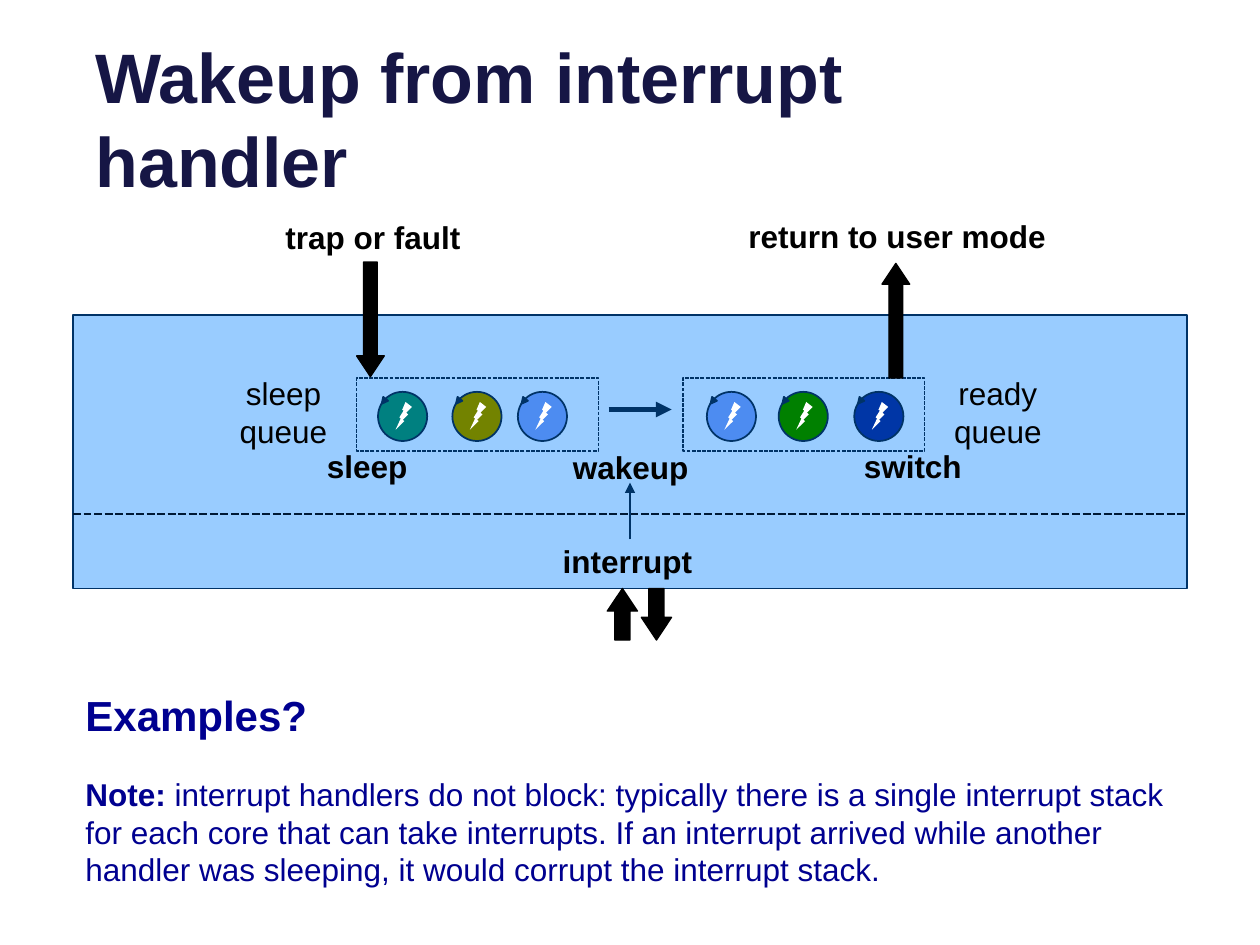
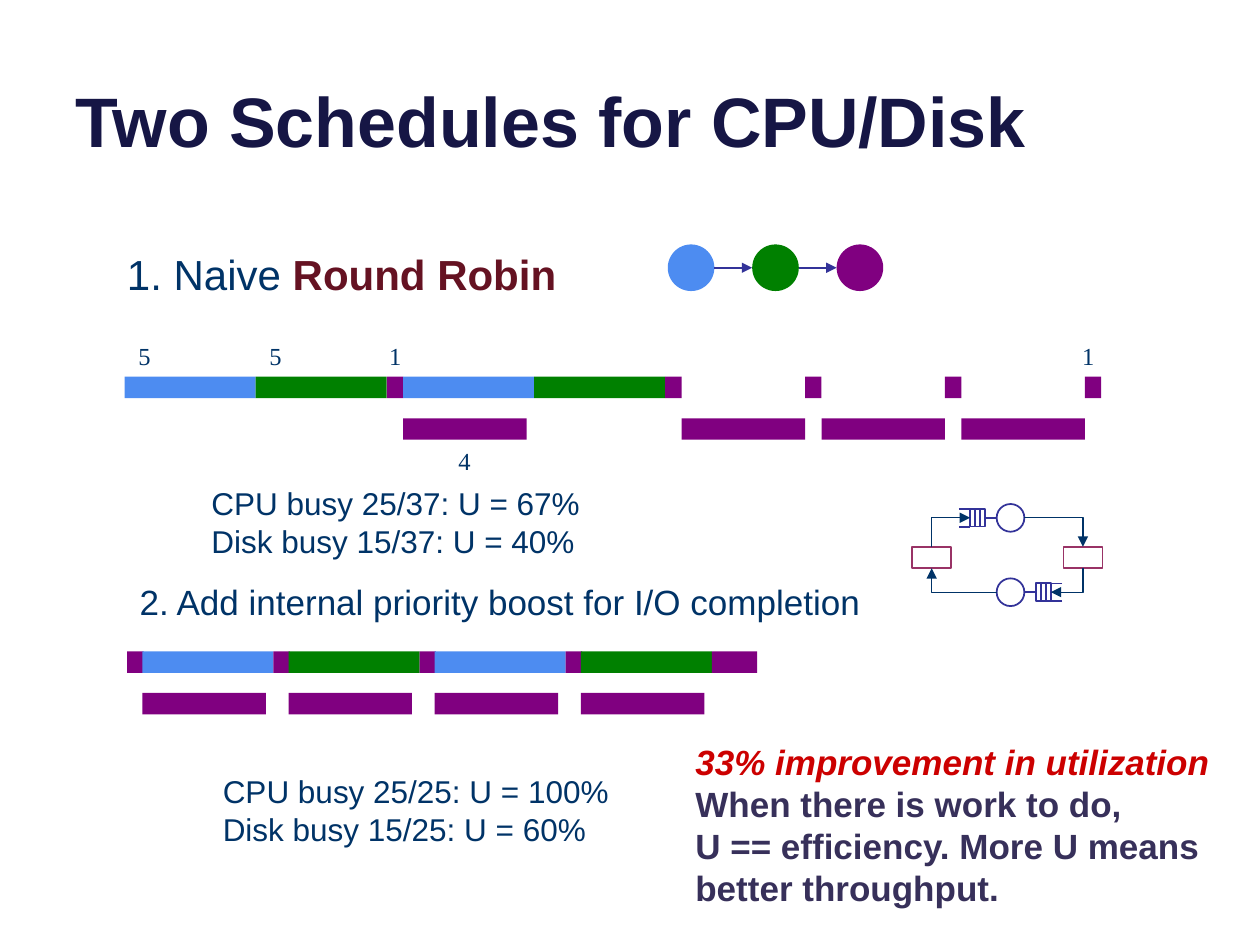
from lxml import etree
from pptx import Presentation
from pptx.dml.color import RGBColor
from pptx.enum.dml import MSO_LINE
from pptx.enum.shapes import MSO_CONNECTOR, MSO_SHAPE
from pptx.enum.text import MSO_ANCHOR, PP_ALIGN
from pptx.oxml.ns import qn
from pptx.util import Inches, Pt

RECT, OVAL, TRIANGLE = MSO_SHAPE.RECTANGLE, MSO_SHAPE.OVAL, MSO_SHAPE.ISOSCELES_TRIANGLE
PROCESS, BOLT = MSO_SHAPE.FLOWCHART_PROCESS, MSO_SHAPE.LIGHTNING_BOLT
UP, DOWN = MSO_SHAPE.UP_ARROW, MSO_SHAPE.DOWN_ARROW
STRAIGHT, ELBOW = MSO_CONNECTOR.STRAIGHT, MSO_CONNECTOR.ELBOW
LEFT, CENTER = PP_ALIGN.LEFT, PP_ALIGN.CENTER
TOP, BOTTOM = MSO_ANCHOR.TOP, MSO_ANCHOR.BOTTOM
DASH = MSO_LINE.SQUARE_DOT
SITE_TOP, SITE_BOTTOM = 0, 2

COLORS = {
    "title": "161645", "navy": "003367", "divider": "001934", "note": "000090",
    "kernel": "99CCFF", "blue": "4D8CF1", "green": "008000", "purple": "800080",
    "olive": "738300", "teal": "008080", "deep": "0036A6", "black": "000000",
    "white": "FFFFFF", "indigo": "333399", "plum": "993366",
    "red": "CC0000", "maroon": "651222", "slate": "37305A",
}
BURST, DISK, SHORT, BAR, DISK_DROP = 1.04, 0.98, 0.13, 0.17, 0.33


def rgb(name):
    return RGBColor.from_string(COLORS[name])


def add_shape(page, kind, box, fill=None, line=None, width=1):
    shape = page.shapes.add_shape(kind, *map(Inches, box))
    shape.shadow.inherit = False
    if fill:
        shape.fill.solid()
        shape.fill.fore_color.rgb = rgb(fill)
    else:
        shape.fill.background()
    if line:
        shape.line.color.rgb = rgb(line)
        shape.line.width = Pt(width)
    else:
        shape.line.fill.background()
    return shape


def add_line(page, start, end, color, width=1, arrow=None, kind=STRAIGHT):
    line = page.shapes.add_connector(kind, *map(Inches, (*start, *end)))
    line.line.color.rgb = rgb(color)
    line.line.width = Pt(width)
    if arrow:
        stroke = line.line._get_or_add_ln()
        etree.SubElement(stroke, qn(f"a:{arrow}"), type="triangle")
    etree.SubElement(line.element.spPr, qn("a:effectLst"))
    return line


def add_text(page, box, paragraphs, size, color, bold=False, align=LEFT,
             anchor=TOP, font="Arial", wrap=True):
    frame = page.shapes.add_textbox(*map(Inches, box)).text_frame
    frame.word_wrap = wrap
    frame.vertical_anchor = anchor
    for index, spans in enumerate(paragraphs):
        para = frame.add_paragraph() if index else frame.paragraphs[0]
        para.alignment = align
        for words, style in spans:
            span = para.add_run()
            span.text = words
            span.font.name = font
            span.font.size = Pt(size)
            span.font.bold = style.get("bold", bold)
            span.font.italic = style.get("italic", False)
            span.font.color.rgb = rgb(style.get("color", color))


def add_title(page, box, words):
    add_text(page, box, [[(words, {})]], 40, "title", bold=True, anchor=BOTTOM)


def add_label(page, box, words, bold=True):
    add_text(page, box, [[(words, {})]], 18, "black", bold, CENTER)


def add_thread(page, left, top, color):
    add_shape(page, OVAL, (left, top, 0.39, 0.39), color, "navy")
    bolt = add_shape(page, BOLT, (left + 0.14, top + 0.08, 0.13, 0.22), "white")
    bolt.element.spPr.find(qn("a:xfrm")).set("flipH", "1")
    tip = add_shape(page, TRIANGLE, (left + 0.02, top + 0.05, 0.05, 0.05), "navy", "navy")
    tip.rotation = 219


def add_queue(page, box, threads):
    left, top = box[:2]
    for offset, color in threads:
        add_thread(page, left + offset, top + 0.11, color)
    frame = add_shape(page, RECT, box, None, "navy", 0.75)
    frame.line.dash_style = DASH


def add_block_arrow(page, kind, box):
    arrow = add_shape(page, kind, box, "black", "black", 0.75)
    arrow.adjustments[0] = 0.5
    arrow.adjustments[1] = 0.75


def draw_kernel(page, box):
    left, top, width, height = box
    add_shape(page, PROCESS, box, "kernel", "navy")
    queue_top = top + 0.5
    add_queue(page, (left + 2.25, queue_top, 1.92, 0.58),
              [(0.17, "teal"), (0.76, "olive"), (1.28, "blue")])
    add_queue(page, (left + 4.84, queue_top, 1.92, 0.58),
              [(0.19, "blue"), (0.76, "green"), (1.36, "deep")])
    add_line(page, (left + 4.25, top + 0.75), (left + 4.75, top + 0.75), "navy", 3, "tailEnd")
    divider = add_line(page, (left, top + 1.58), (left + width, top + 1.58), "divider", 1.5)
    divider.line.dash_style = DASH
    add_line(page, (left + 4.42, top + 1.78), (left + 4.42, top + 1.33), "navy", 1, "tailEnd")

    for offset, words in ((1.17, "sleep queue"), (6.84, "ready queue")):
        add_label(page, (left + offset, top + 0.42, 1, 0.71), words, bold=False)
    for offset, drop, label_width, words in (
            (1.25, 1, 2.17, "sleep"), (3.34, 1.01, 2.17, "wakeup"), (6, 1, 1.33, "switch"),
            (3.47, 1.75, 1.86, "interrupt"),
            (1.09, -0.82, 2.58, "trap or fault"), (5.25, -0.83, 2.58, "return to user mode")):
        add_label(page, (left + offset, top + drop, label_width, 0.4), words)

    for kind, offset, drop, arrow_width, arrow_height in (
            (DOWN, 2.25, -0.42, 0.22, 0.91), (UP, 6.42, -0.41, 0.22, 0.91),
            (UP, 4.24, height, 0.24, 0.41), (DOWN, 4.51, height, 0.24, 0.41)):
        add_block_arrow(page, kind, (left + offset, top + drop, arrow_width, arrow_height))


def draw_notes(page, box):
    left, top, width = box
    add_text(page, (left, top, width, 0.51), [[("Examples?", {})]], 24, "note", bold=True)
    note = ("interrupt handlers do not block: typically there is a single interrupt stack "
            "for each core that can take interrupts. If an interrupt arrived while another "
            "handler was sleeping, it would corrupt the interrupt stack.")
    add_text(page, (left, top + 0.68, width, 1.01),
             [[("Note: ", {"bold": True}), (note, {})]], 18, "note")


def build_wakeup(deck):
    page = deck.slides.add_slide(deck.slide_layouts[6])
    add_title(page, (0.66, -0.02, 7.17, 1.67), "Wakeup from interrupt handler")
    draw_kernel(page, (0.58, 2.5, 8.84, 2.17))
    draw_notes(page, (0.58, 5.42, 8.83))


def draw_naive_schedule(page, left, top):
    job_a, job_b = (BURST, "blue", False), (BURST, "green", False)
    job_a_with_disk = (BURST, "blue", True)
    io_start, disk_only = (SHORT, "purple", False), (DISK, None, True)
    steps = [job_a, job_b, io_start, job_a_with_disk, job_b] + [io_start, disk_only] * 3 + [io_start]
    cursor = left
    for width, cpu_color, disk_busy in steps:
        if cpu_color:
            add_shape(page, RECT, (cursor, top, width, BAR), cpu_color)
        if disk_busy:
            add_shape(page, RECT, (cursor, top + DISK_DROP, DISK, BAR), "purple")
        cursor += width
    for offset, drop, words in ((0.01, -0.33, "5"), (1.05, -0.33, "5"), (2, -0.33, "1"),
                                (7.5, -0.33, "1"), (2.55, 0.5, "4")):
        add_text(page, (left + offset, top + drop, 0.3, 0.33), [[(words, {})]],
                 14, "navy", font="Times New Roman", wrap=False)


def draw_boosted_schedule(page, left, top):
    for turn, color in enumerate(("blue", "green") * 2):
        start = left + 1.16 * turn
        add_shape(page, RECT, (start, top, SHORT, BAR), "purple")
        add_shape(page, RECT, (start + 0.12, top, BURST, BAR), color)
        add_shape(page, RECT, (start + 0.12, top + DISK_DROP, DISK, BAR), "purple")
    add_shape(page, RECT, (left + 4.64, top, 0.36, BAR), "purple")


def draw_job_ring(page, left, top):
    size, step = 0.37, 0.67
    for index, color in enumerate(("blue", "green", "purple")):
        start = left + step * index
        add_shape(page, OVAL, (start, top, size, size), color)
        if index < 2:
            middle = top + size / 2
            add_line(page, (start + size, middle), (start + step, middle), "indigo", 1, "tailEnd")


def draw_server(page, center, middle, side):
    def across(distance):
        return center + side * distance

    for slot in range(3):
        near, far = across(0.2 + 0.04 * slot), across(0.24 + 0.04 * slot)
        add_shape(page, RECT, (min(near, far), middle - 0.07, 0.04, 0.14), "white", "indigo")
    for edge in (middle - 0.07, middle + 0.07):
        add_line(page, (across(0.41), edge), (across(0.32), edge), "indigo")
    add_line(page, (across(0.2), middle), (across(0.11), middle), "indigo")
    add_shape(page, OVAL, (center - 0.11, middle - 0.11, 0.22, 0.22), "white", "indigo")


def draw_service_loop(page, left, top):
    center, upper, lower = left + 0.78, top + 0.11, top + 0.7
    draw_server(page, center, upper, -1)
    draw_server(page, center, lower, 1)
    left_box, right_box = (
        add_shape(page, RECT, (left + offset, top + 0.34, 0.31, 0.17), "white", "plum")
        for offset in (0, 1.2))
    for offset, level, station, site, arrow in (
            (0.11, upper, right_box, SITE_TOP, "tailEnd"),
            (0.32, lower, right_box, SITE_BOTTOM, "headEnd"),
            (-0.11, lower, left_box, SITE_BOTTOM, "tailEnd"),
            (-0.32, upper, left_box, SITE_TOP, "headEnd")):
        start = (center + offset, level)
        route = add_line(page, start, start, "navy", 0.75, arrow, ELBOW)
        route.end_connect(station, site)
        route.element.spPr.find(qn("a:prstGeom")).set("prst", "bentConnector2")


def draw_usage(page, box, cpu, disk):
    lines = [[(f"CPU busy {cpu}", {})], [(f"Disk busy {disk}", {})]]
    add_text(page, box, lines, 18, "navy", wrap=False)


def draw_conclusion(page, box):
    add_text(page, box, [
        [("33% improvement in utilization", {"color": "red", "italic": True})],
        [("When there is work to do,", {})],
        [("U == efficiency. More U means better throughput.", {})],
    ], 20, "slate", bold=True)


def build_schedules(deck):
    page = deck.slides.add_slide(deck.slide_layouts[6])
    add_title(page, (0.5, -0.37, 9, 1.7), "Two Schedules for CPU/Disk")
    add_text(page, (0.91, 1.92, 3.64, 0.5),
             [[("1. Naive ", {}), ("Round Robin", {"color": "maroon", "bold": True})]],
             24, "navy", wrap=False)
    draw_job_ring(page, 5.3, 1.94)
    draw_naive_schedule(page, 0.99, 2.99)
    draw_usage(page, (1.58, 3.79, 3.16, 0.71), "25/37: U = 67%", "15/37: U = 40%")
    draw_service_loop(page, 7.24, 4)
    add_text(page, (1.01, 4.56, 5.97, 0.44),
             [[("2. Add internal priority boost for I/O completion", {})]],
             20, "navy", wrap=False)
    draw_boosted_schedule(page, 1.01, 5.17)
    draw_usage(page, (1.67, 6.08, 3.3, 0.71), "25/25: U = 100%", "15/25: U = 60%")
    draw_conclusion(page, (5.42, 5.83, 4.58, 1.45))


def main():
    deck = Presentation()
    deck.slide_width, deck.slide_height = Inches(10), Inches(7.5)
    build_wakeup(deck)
    build_schedules(deck)
    deck.save("out.pptx")


if __name__ == "__main__":
    main()
